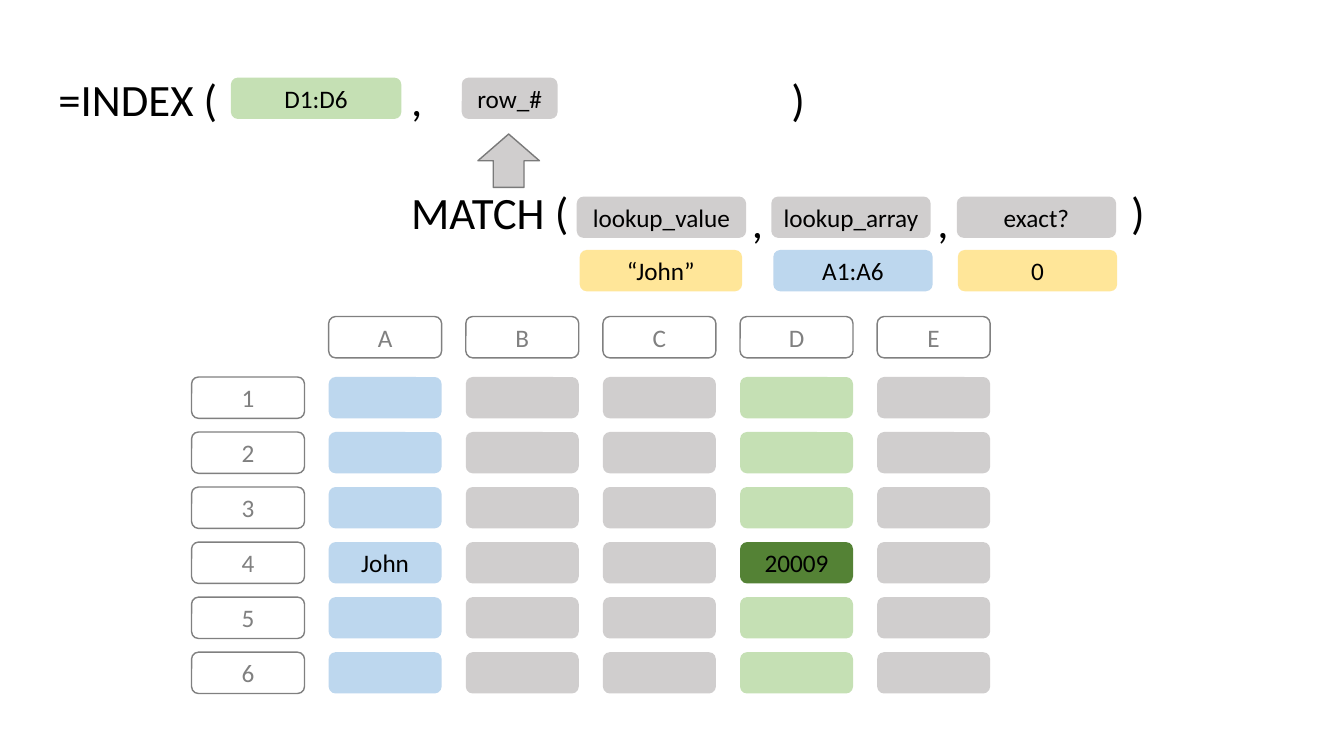
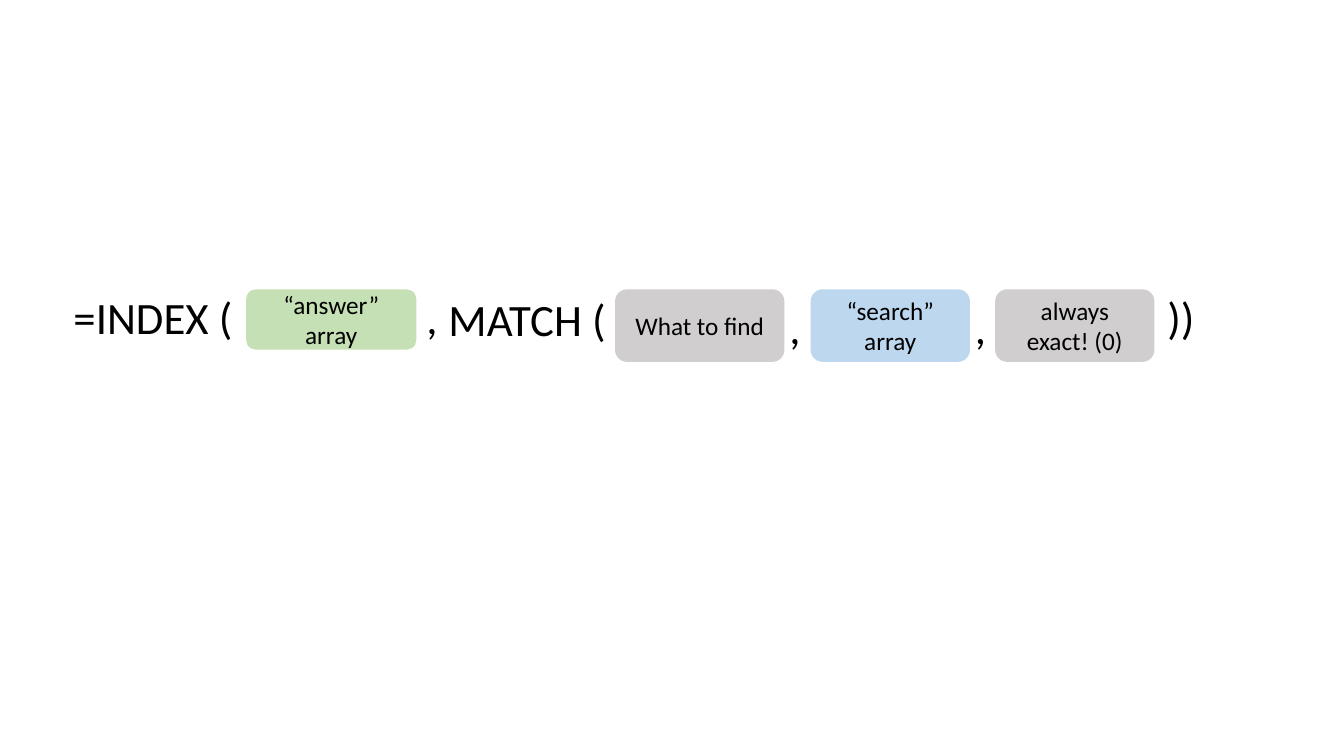
from pptx import Presentation
from pptx.dml.color import RGBColor
from pptx.enum.shapes import MSO_SHAPE
from pptx.enum.text import MSO_ANCHOR, PP_ALIGN
from pptx.util import Inches, Pt

FONT = "Calibri"
BLACK = RGBColor(0x00, 0x00, 0x00)
GREY = RGBColor(0x80, 0x80, 0x80)
EDGE = RGBColor(0x7A, 0x7A, 0x7A)
SILVER = RGBColor(0xD0, 0xCE, 0xCE)
BLUE = RGBColor(0xBD, 0xD7, 0xEE)
GREEN = RGBColor(0xC5, 0xE0, 0xB4)
FOREST = RGBColor(0x54, 0x82, 0x35)
YELLOW = RGBColor(0xFF, 0xE6, 0x99)

# Sheet grid: first cell, cell size and pitch, in inches
LEFT, TOP, HEAD = 3.26, 3.74, 3.14
CELL_W, CELL_H = 1.12, 0.41
STEP_X, STEP_Y = 1.36, (6.47 - TOP) / 5
COLUMNS = [("A", BLUE), ("B", SILVER), ("C", SILVER), ("D", GREEN), ("E", SILVER)]
ROWS = range(1, 7)
FOUND = {("A", 4): ("John", BLUE), ("D", 4): ("20009", FOREST)}

# Formula words: text, left, top, width
INDEX_W, MATCH_W, MARK_W, WORD_H = 1.91, 1.8, 0.4, 0.64
LOOKUP_WORDS = [
    ("=INDEX (", 0.48, 0.66, INDEX_W),
    (",", 3.98, 0.66, MARK_W),
    (")", 7.75, 0.66, MARK_W),
    ("MATCH (", 3.98, 1.78, MATCH_W),
    (",", 7.36, 1.87, MARK_W),
    (",", 9.2, 1.87, MARK_W),
    (")", 11.12, 1.78, MARK_W),
]
SUMMARY_WORDS = [
    ("=INDEX (", 0.63, 2.83, INDEX_W),
    (",", 4.13, 2.83, MARK_W),
    ("MATCH (", 4.35, 2.84, MATCH_W),
    (",", 7.73, 2.92, MARK_W),
    (",", 9.57, 2.92, MARK_W),
    ("))", 11.48, 2.83, 0.6),
]

# Formula arguments: text, fill, left, top, width, height
LOOKUP_ARGS = [
    ("D1:D6", GREEN, 2.29, 0.77, 1.69, CELL_H),
    ("row_#", SILVER, 4.58, 0.77, 0.95, CELL_H),
    ("lookup_value", SILVER, 5.72, 1.95, 1.68, CELL_H),
    ("lookup_array", SILVER, 7.65, 1.95, 1.58, CELL_H),
    ("exact?", SILVER, 9.49, 1.95, 1.58, CELL_H),
    ("“John”", YELLOW, 5.75, 2.48, 1.61, CELL_H),
    ("A1:A6", BLUE, 7.67, 2.48, 1.58, CELL_H),
    ("0", YELLOW, 9.5, 2.48, 1.58, CELL_H),
]
SUMMARY_ARGS = [
    ("“answer” array", GREEN, 2.44, 2.87, 1.69, 0.6),
    ("What to find", SILVER, 6.1, 2.87, 1.68, 0.72),
    ("“search” array", BLUE, 8.04, 2.87, 1.58, 0.72),
    ("always exact! (0)", SILVER, 9.87, 2.87, 1.58, 0.72),
]


def write(frame, text, size, color, align):
    frame.word_wrap = True
    para = frame.paragraphs[0]
    para.text = text
    para.alignment = align
    para.font.name, para.font.size = FONT, Pt(size)
    para.font.color.rgb = color


def add_box(shapes, text, fill, x, y, w, h, line=None, ink=BLACK,
            kind=MSO_SHAPE.ROUNDED_RECTANGLE):
    """Add a preset shape; None for fill or line leaves it out."""
    box = shapes.add_shape(kind, *map(Inches, (x, y, w, h)))
    box.shadow.inherit = False
    if fill is None:
        box.fill.background()
    else:
        box.fill.solid()
        box.fill.fore_color.rgb = fill
    if line is None:
        box.line.fill.background()
    else:
        box.line.color.rgb, box.line.width = line, Pt(1)
    if text:
        box.text_frame.vertical_anchor = MSO_ANCHOR.MIDDLE
        write(box.text_frame, text, 18, ink, PP_ALIGN.CENTER)


def add_formula(shapes, words, args):
    for text, x, y, w in words:
        label = shapes.add_textbox(*map(Inches, (x, y, w, WORD_H)))
        write(label.text_frame, text, 32, BLACK, PP_ALIGN.LEFT)
    for arg in args:
        add_box(shapes, *arg)


def add_header(shapes, text, x, y):
    add_box(shapes, text, None, x, y, CELL_W, CELL_H, GREY, GREY)


def add_sheet(shapes):
    for row in ROWS:
        add_header(shapes, str(row), LEFT - STEP_X, TOP + (row - 1) * STEP_Y)
    for i, (name, color) in enumerate(COLUMNS):
        x = LEFT + i * STEP_X
        add_header(shapes, name, x, HEAD)
        for row in ROWS:
            text, fill = FOUND.get((name, row), ("", color))
            add_box(shapes, text, fill, x, TOP + (row - 1) * STEP_Y, CELL_W, CELL_H)


def main():
    deck = Presentation()
    deck.slide_width, deck.slide_height = Inches(13.33), Inches(7.5)
    blank = deck.slide_layouts[6]

    lookup = deck.slides.add_slide(blank).shapes
    add_sheet(lookup)
    add_formula(lookup, LOOKUP_WORDS, LOOKUP_ARGS)
    add_box(lookup, "", SILVER, 4.74, 1.33, 0.61, 0.53, EDGE, kind=MSO_SHAPE.UP_ARROW)

    summary = deck.slides.add_slide(blank).shapes.add_group_shape()
    add_formula(summary.shapes, SUMMARY_WORDS, SUMMARY_ARGS)

    deck.save("out.pptx")


if __name__ == "__main__":
    main()
